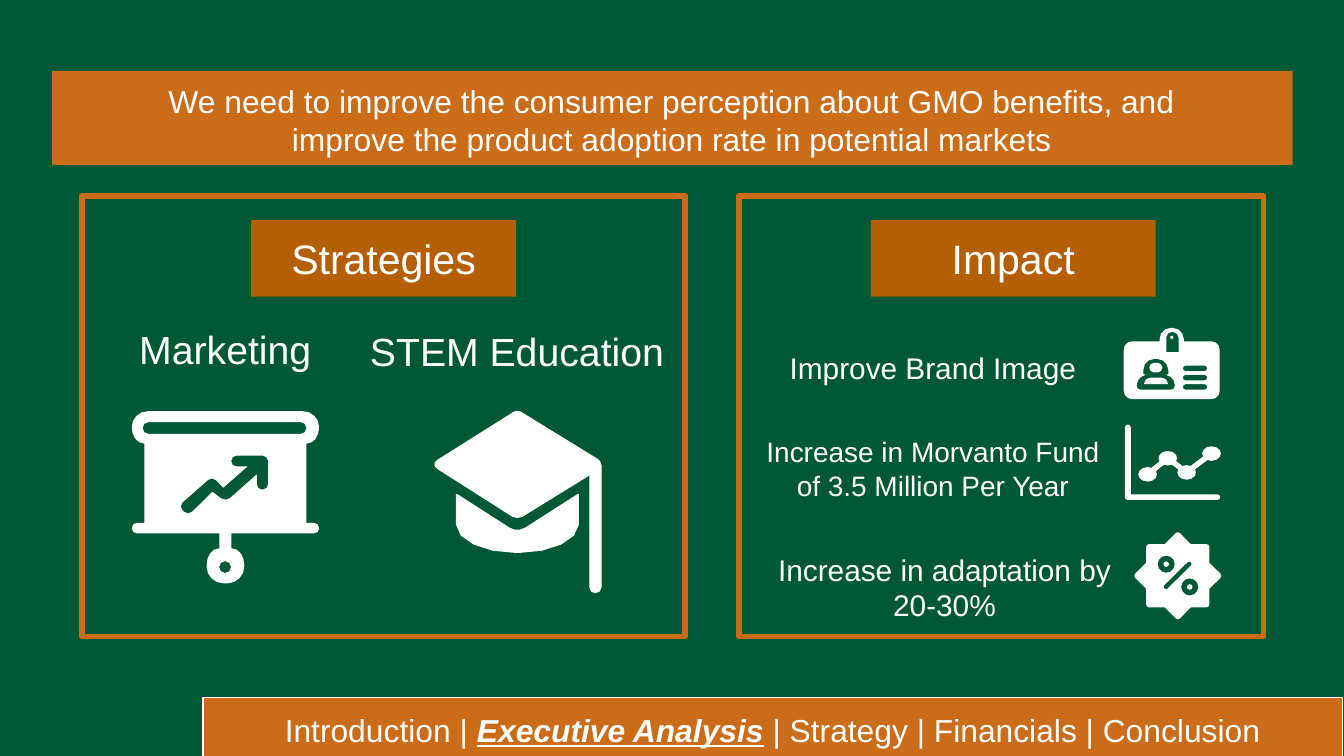
import math
from dataclasses import dataclass

from lxml import etree
from pptx import Presentation
from pptx.dml.color import RGBColor
from pptx.enum import shapes, text
from pptx.oxml import ns
from pptx.util import Pt


@dataclass(frozen=True)
class Theme:
    green: RGBColor = RGBColor(0x00, 0x58, 0x37)
    orange: RGBColor = RGBColor(0xCA, 0x6C, 0x18)
    brown: RGBColor = RGBColor(0xB4, 0x5F, 0x06)
    white: RGBColor = RGBColor(0xFF, 0xFF, 0xFF)
    font: str = "Arial"
    body: int = 17
    heading: int = 22
    label: int = 21
    item: int = 16
    small: int = 15


T = Theme()


# Basic parts
def paint(s, fill=None, line=None, width=0.75):
    s.shadow.inherit = False
    if fill is None:
        s.fill.background()
    else:
        s.fill.solid()
        s.fill.fore_color.rgb = fill
    if line is None:
        s.line.fill.background()
    else:
        s.line.color.rgb = line
        s.line.width = Pt(width)
    return s


def preset(slide, kind, box, **style):
    return paint(slide.shapes.add_shape(kind, *map(Pt, box)), **style)


def rect(slide, box, **style):
    return preset(slide, shapes.MSO_SHAPE.RECTANGLE, box, **style)


def write(s, runs, size, anchor=text.MSO_ANCHOR.MIDDLE):
    """Fill a shape with centred (text, emphasised) runs."""
    tf = s.text_frame
    tf.word_wrap = True
    tf.vertical_anchor = anchor
    tf.margin_left = tf.margin_right = tf.margin_top = tf.margin_bottom = Pt(7.2)
    p = tf.paragraphs[0]
    p.alignment = text.PP_ALIGN.CENTER
    for words, strong in runs:
        r = p.add_run()
        r.text = words
        f = r.font
        f.name, f.size, f.color.rgb = T.font, Pt(size), T.white
        if strong:
            f.bold = f.italic = f.underline = True


def label(slide, box, words, size, **options):
    s = slide.shapes.add_textbox(*map(Pt, box))
    write(s, [(words, False)], size, **options)


# Outlines: a vertex is (x, y), (x, y, radius) or (x, y, radius before, after)
def rounded(vertices):
    points = []
    for i, (x, y, *radii) in enumerate(vertices):
        if not radii:
            points.append((x, y))
            continue
        ends = []
        for other, r in ((vertices[i - 1], radii[0]),
                         (vertices[(i + 1) % len(vertices)], radii[-1])):
            d = math.hypot(other[0] - x, other[1] - y)
            ends.append((x + (other[0] - x) * r / d, y + (other[1] - y) * r / d))
        steps = 2 if max(radii) < 4 else 3 if max(radii) < 8 else 4
        for k in range(steps + 1):
            t = k / steps
            a = (1 - t) ** 3 + 1.35 * t * (1 - t) ** 2
            b = t ** 3 + 1.35 * t ** 2 * (1 - t)
            points.append(tuple(a * p + b * q + (1 - a - b) * c
                                for p, q, c in zip(*ends, (x, y))))
    # Neighbouring corners may meet in one point
    return [p for i, p in enumerate(points) if math.dist(p, points[i - 1]) > 0.1]


def mirror(axis, half):
    left = [(2 * axis - x, y, *r[::-1]) for x, y, *r in reversed(half) if x != axis]
    return half + left


def pill(x, y, w, h, r):
    return [(x, y, r), (x + w, y, r), (x + w, y + h, r), (x, y + h, r)]


def circle(cx, cy, r):
    return pill(cx - r, cy - r, 2 * r, 2 * r, r)


def outline(slide, at, contours, line=None):
    """Draw one shape; inner contours become holes."""
    builder = None
    for contour in contours:
        pts = [(Pt(at[0] + x), Pt(at[1] + y)) for x, y in rounded(contour)]
        if builder is None:
            builder = slide.shapes.build_freeform(*pts[0])
        else:
            builder.move_to(*pts[0])
        builder.add_line_segments(pts[1:], close=True)
    paint(builder.convert_to_shape(), T.white, line)


# Icons, each placed from its top left corner
def board_icon(slide, at):
    frame = mirror(50.2, [
        (100.4, 0, 8.6), (100.4, 17.3, 8.6, 6.5), (93.6, 17.3), (93.6, 59.8),
        (100.4, 59.8, 2.8), (100.4, 65.5, 2.8), (53.4, 65.5), (53.4, 73.5),
        (60.3, 73.5, 6.5, 9), (60.3, 92.2, 9)])
    arrow = [(53.3, 23.8, 2.8), (73, 23.8, 2.8), (73, 42, 2.8), (67, 42, 2.8),
             (67, 33.8), (50.4, 48.5, 3), (43.2, 43.2), (30.2, 56, 3),
             (25, 50.8, 3), (43.2, 34.8, 3), (49, 41), (62, 29.6), (53.3, 29.6, 2.8)]
    outline(slide, at, [frame, pill(5.8, 5.8, 87.8, 6.4, 3.2), arrow,
                        circle(50, 83.5, 3.2)])


def cap_icon(slide, at):
    base = mirror(44.6, [(44.6, 65.5, 5), (77.2, 44.6), (77.2, 75.6, 15, 32)])
    top = [(44.6, -0.5, 2), (89.3, 27, 2), (89.3, 97.2, 2.9), (83.5, 97.2, 2.9),
           (83.5, 33.8), (44.6, 57.8, 3), (-1.5, 28.5, 4)]
    for part in (base, top):
        outline(slide, at, [part], T.white)


def badge_icon(slide, at):
    card = mirror(25.7, [(32.2, 0, 6), (32.2, 7.2), (51.4, 7.2, 4.5), (51.4, 38.2, 4.5)])
    slot = [(22.8, 2.2, 3), (29.4, 2.2, 3), (29.4, 13), (22.8, 13)]
    person = mirror(17.2, [(23.9, 16.6, 6), (23.9, 24.8), (22.3, 25.2),
                           (27.4, 26, 4.5), (27.4, 33.1, 2)])
    shoulders = [(10.8, 26.6, 3.5), (23.8, 26.6, 3.5), (23.8, 30.2), (10.8, 30.2)]
    lines = [pill(31.7, y, 13, 2.9, 1.4) for y in (20.2, 25.2, 30.2)]
    outline(slide, at, [card, slot, circle(25.8, 5.1, 0.9), person,
                        pill(13.7, 18.7, 7, 5.2, 2.6), shoulders, *lines])


def chart_icon(slide, at):
    outline(slide, at, [[(0, 0, 1.6), (3.2, 0, 1.6), (3.2, 37.4), (51.1, 37.4, 1.4),
                         (51.1, 40.3, 1.4), (0, 40.3, 1.4)]])
    dots = [(at[0] + x, at[1] + y)
            for x, y in ((12.2, 26.6), (23, 18), (33.1, 25.6), (46.4, 15.5))]
    for a, b in zip(dots, dots[1:]):
        c = slide.shapes.add_connector(shapes.MSO_CONNECTOR.STRAIGHT, *map(Pt, a + b))
        c.line.color.rgb = T.white
        c.line.width = Pt(2.9)
        etree.SubElement(c._element.spPr, ns.qn("a:effectLst"))
    for x, y in dots:
        preset(slide, shapes.MSO_SHAPE.OVAL, (x - 5, y - 3.9, 10, 7.8), fill=T.white)


def percent_icon(slide, at):
    star = []
    for k in range(16):
        turn = k * math.pi / 8
        r, corner = (18.3, ()) if k % 2 else (24, (1.6,))
        star.append((23.3 + r * math.sin(turn), 22.7 - r * math.cos(turn), *corner))
    slash = [(15.2, 28.6, 1.2), (29.4, 14.6, 1.2), (31.2, 16.4, 1.2), (17, 30.4, 1.2)]
    rings = [circle(x, y, r) for x, y in ((17.1, 16.5), (29.7, 28.7)) for r in (4.6, 1.5)]
    outline(slide, at, [star, slash, *rings])


# Regions
def banner(slide, box):
    x, y, w, h = box
    rect(slide, box, fill=T.orange)
    label(slide, (x + 28, y - 1.6, w - 56.5, h - 5),
          "We need to improve the consumer perception about GMO benefits, and "
          "improve the product adoption rate in potential markets",
          T.body, anchor=text.MSO_ANCHOR.TOP)


def panel(slide, box, heading, inset, width):
    x, y, w, h = box
    frame = rect(slide, box, line=T.orange, width=3)
    etree.SubElement(frame._element.spPr.find(ns.qn("a:ln")), ns.qn("a:round"))
    tag = rect(slide, (x + inset, y + 13, width, 41), fill=T.brown)
    write(tag, [(heading, False)], T.heading)


def strategies(slide, box):
    x, y, w, h = box
    panel(slide, box, "Strategies", 90.5, 142)
    label(slide, (x + 5.7, y + 62, 142, 40), "Marketing", T.label)
    label(slide, (x + 144, y + 63, 178, 40), "STEM Education", T.label)
    board_icon(slide, (x + 26.6, y + 115.3))
    cap_icon(slide, (x + 188.6, y + 115.3))


def impact(slide, box):
    x, y, w, h = box
    panel(slide, box, "Impact", 70.5, 152.6)
    label(slide, (x + 5.8, y + 75, 196, 34), "Improve Brand Image", T.item)
    label(slide, (x - 0.7, y + 120.4, 209, 51),
          "Increase in Morvanto Fund of 3.5 Million Per Year", T.small)
    label(slide, (x + 8, y + 183, 204, 53), "Increase in adaptation by 20-30%", T.item)
    badge_icon(slide, (x + 206, y + 70.7))
    chart_icon(slide, (x + 206.6, y + 122.5))
    percent_icon(slide, (x + 211.7, y + 180.8))


def navigation(slide, box):
    bar = rect(slide, box, fill=T.orange, line=T.white)
    write(bar, [("Introduction | ", False), ("Executive Analysis", True),
                (" | Strategy | Financials | Conclusion", False)],
          T.body, anchor=text.MSO_ANCHOR.TOP)


def main():
    prs = Presentation()
    prs.slide_width, prs.slide_height = Pt(720), Pt(405)
    slide = prs.slides.add_slide(prs.slide_layouts[6])
    slide.background.fill.solid()
    slide.background.fill.fore_color.rgb = T.green
    banner(slide, (28, 38, 664.5, 50.4))
    strategies(slide, (44, 105, 323, 236))
    impact(slide, (396, 105, 281, 236))
    navigation(slide, (108.7, 373.7, 610.5, 32.4))
    prs.save("out.pptx")


if __name__ == "__main__":
    main()
